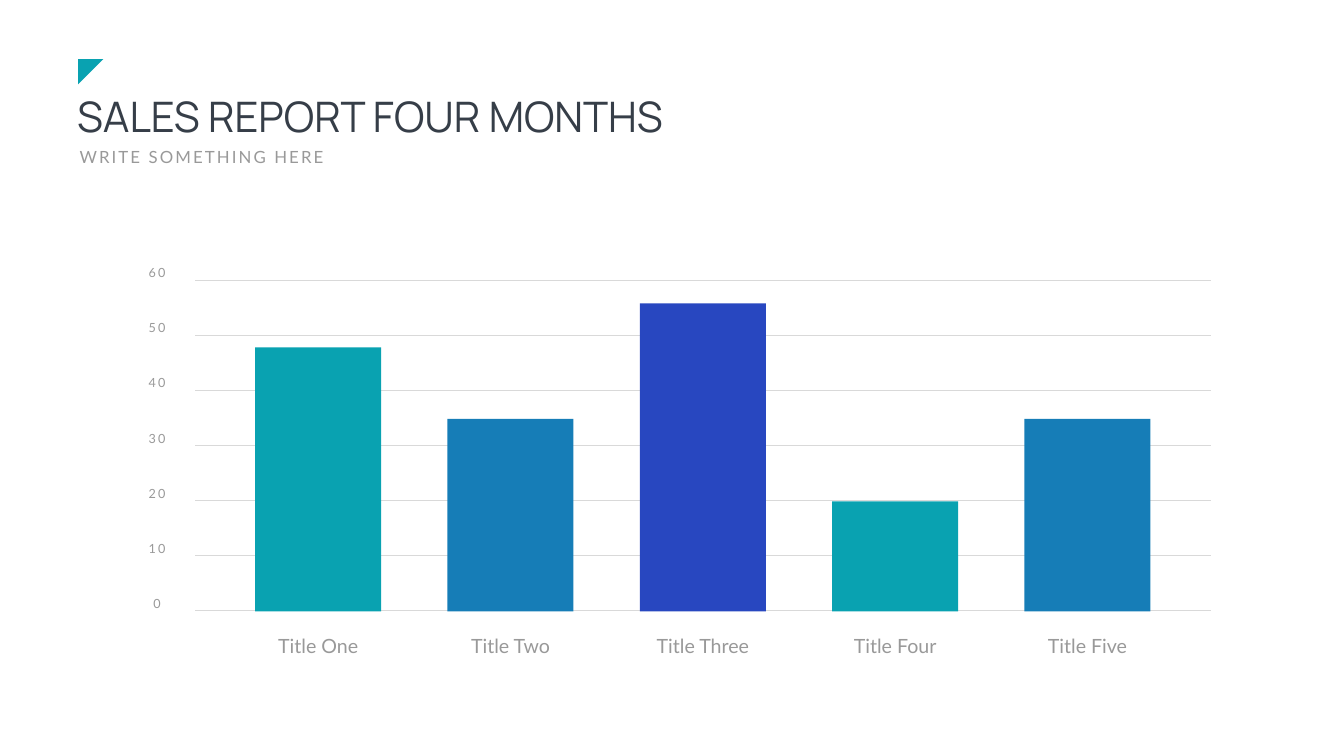
from lxml.etree import SubElement as Sub
from pptx import Presentation
from pptx.dml.color import RGBColor as Rgb
from pptx.enum.shapes import MSO_CONNECTOR as Link, MSO_SHAPE as Form
from pptx.enum.text import MSO_AUTO_SIZE as Fit, PP_ALIGN as Align
from pptx.oxml.ns import qn
from pptx.util import Pt


def hue(code):
    return Rgb.from_string(code)


def put(item, vals):
    for key, val in vals.items():
        setattr(item, key, val)


class Page:
    TEAL, BLUE, NAVY = "09A2B1", "167DB7", "2847C0"
    DARK, GRAY, PALE = "363E48", "999999", "D9D9D9"
    HEAD = {"name": "Manrope", "size": Pt(60)}
    SUB = {"name": "Lato", "size": Pt(24)}
    MARK = {"name": "Lato", "size": Pt(18)}
    NAME = {"name": "Lato", "size": Pt(28)}

    def __init__(self, slide):
        self.items = slide.shapes

    def text(self, words, box, style, color, wrap=True, gap=0, align=Align.LEFT):
        frame = self.items.add_textbox(*map(Pt, box)).text_frame
        put(frame, {"word_wrap": wrap, "auto_size": Fit.SHAPE_TO_FIT_TEXT})
        para = frame.paragraphs[0]
        para.alignment = align
        run = para.add_run()
        run.text = words
        put(run.font, style)
        run.font.color.rgb = hue(color)
        if gap:
            run.font._element.set("spc", str(gap * 100))

    def shape(self, form, box, color, turn=0):
        item = self.items.add_shape(form, *map(Pt, box))
        item.shadow.inherit = False
        item.rotation = turn
        item.fill.solid()
        item.fill.fore_color.rgb = hue(color)
        item.line.fill.background()

    def line(self, left, right, top):
        item = self.items.add_connector(Link.STRAIGHT, Pt(left), Pt(top), Pt(right), Pt(top))
        item.line.width = Pt(0.5)
        item.line.color.rgb = hue(self.PALE)
        Sub(item._element.spPr, qn("a:effectLst"))


def main():
    deck = Presentation()
    put(deck, {"slide_width": Pt(1919.52), "slide_height": Pt(1080)})
    page = Page(deck.slides.add_slide(deck.slide_layouts[6]))

    page.text("SALES REPORT FOUR MONTHS", (103, 125.5, 1096.5, 80), page.HEAD, page.DARK)
    page.text("WRITE SOMETHING HERE", (106.5, 206.6, 370, 36), page.SUB, page.GRAY,
              wrap=False, gap=3)
    page.shape(Form.RIGHT_TRIANGLE, (111.6, 84.4, 36, 36), page.TEAL, turn=90)

    for mark in range(0, 70, 10):
        top = 872 - mark * 7.87
        page.line(278.6, 1729, top)
        page.text(str(mark), (190.8, top - 24.5, 67, 29), page.MARK, page.GRAY,
                  gap=3, align=Align.CENTER)

    bars = (
        ("One", 48, page.TEAL),
        ("Two", 35, page.BLUE),
        ("Three", 56, page.NAVY),
        ("Four", 20, page.TEAL),
        ("Five", 35, page.BLUE),
    )
    base, unit, wide, step = 873.4, 7.86, 180, 274.7
    for spot, (name, val, color) in enumerate(bars):
        left, high = 364.4 + spot * step, val * unit
        page.shape(Form.RECTANGLE, (left, base - high, wide, high), color)
        page.text(f"Title {name}", (left + 15, 902.2, wide - 30, 41), page.NAME, page.GRAY,
                  wrap=False, align=Align.CENTER)

    deck.save("out.pptx")


if __name__ == "__main__":
    main()
